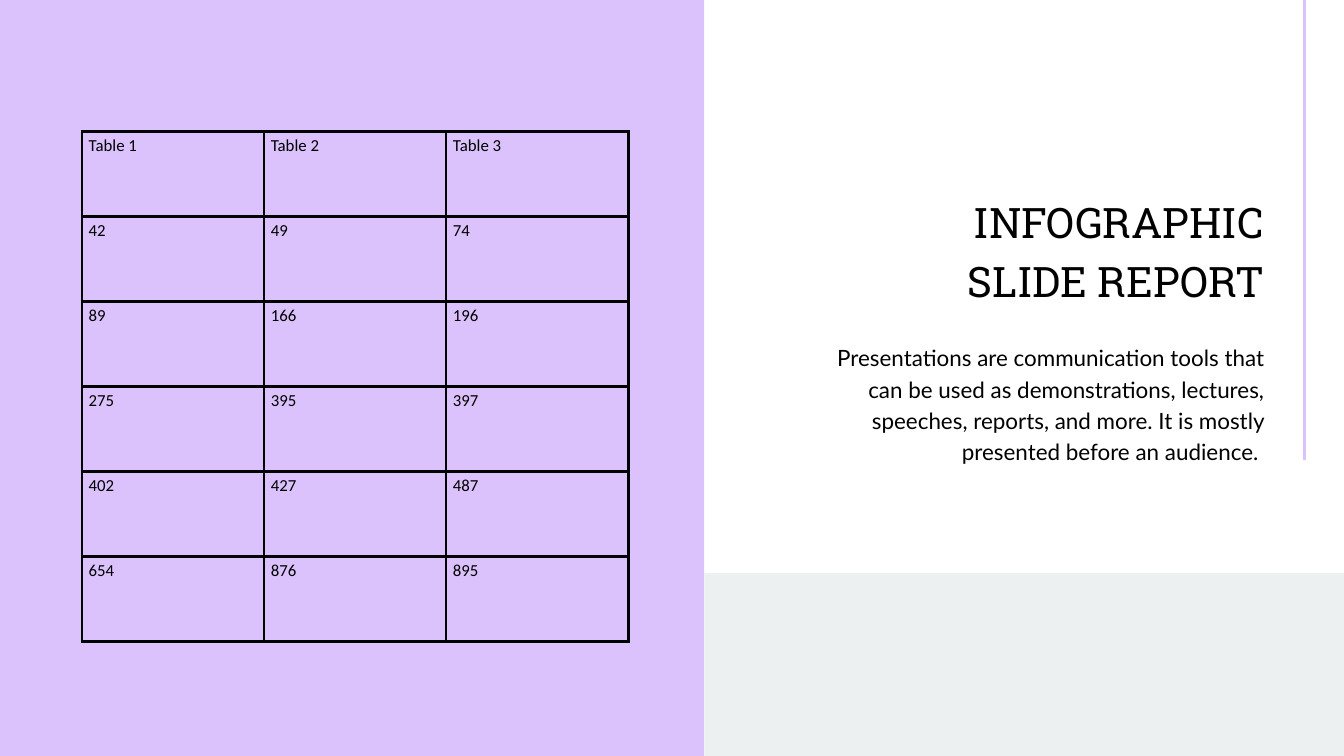
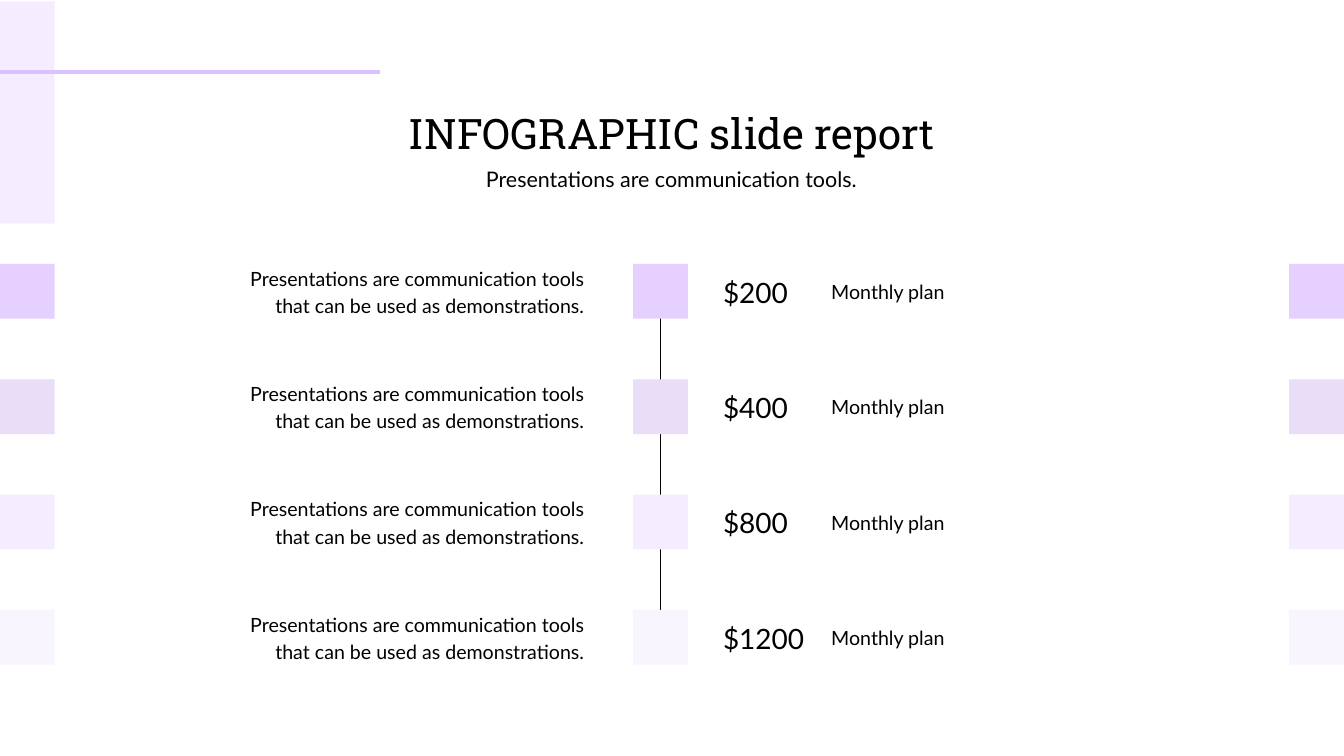
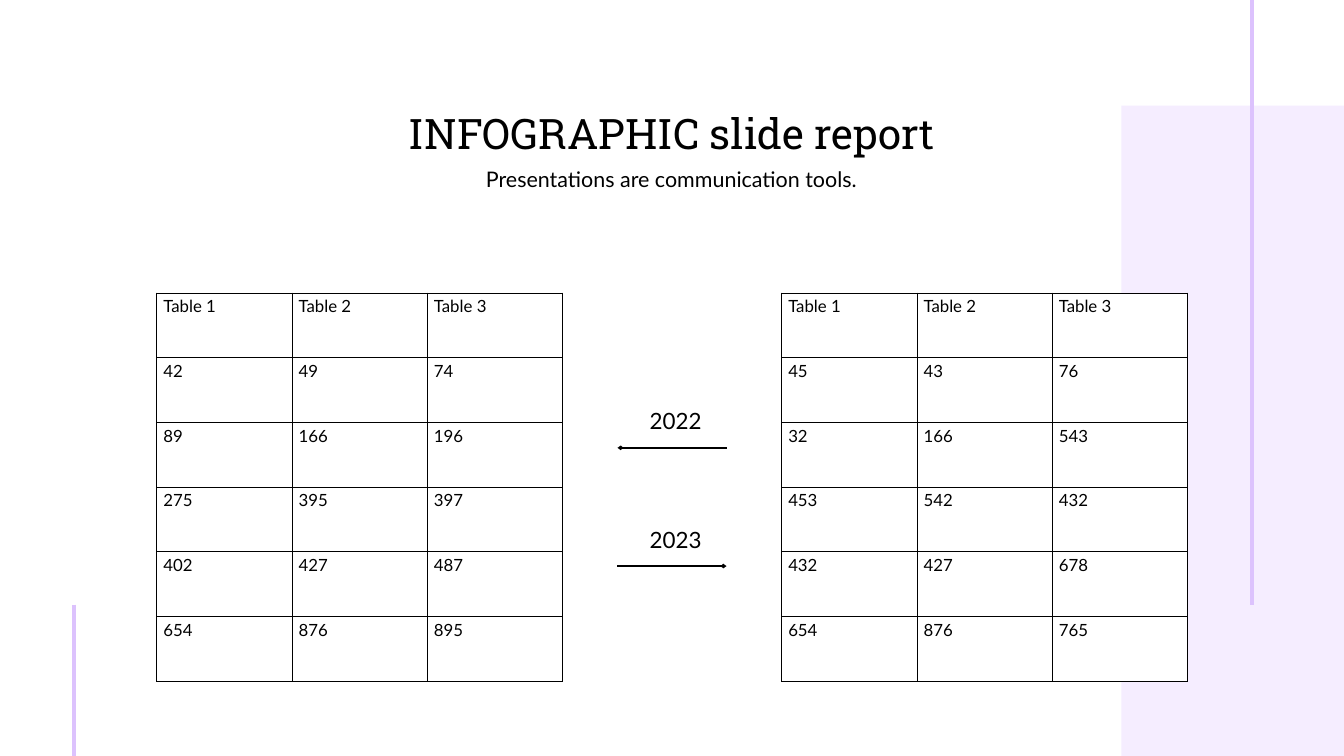
from dataclasses import dataclass

from lxml.etree import SubElement
from pptx import Presentation
from pptx.dml.color import RGBColor
from pptx.enum.shapes import MSO_CONNECTOR, MSO_SHAPE
from pptx.enum.text import PP_ALIGN as Align
from pptx.oxml import parse_xml
from pptx.oxml.ns import nsdecls, qn
from pptx.util import Cm, Pt


@dataclass(frozen=True)
class Theme:
    ink: str = "000000"
    paper: str = "FFFFFF"
    violet: str = "DCC2FD"
    pale: str = "F5EDFF"
    grey: str = "EDF0F0"
    steps: tuple = ("E5D0FF", "E9DDF8", "F5EDFF", "F9F5FF")
    title_font: str = "Roboto Slab"
    body_font: str = "Lato"
    figure_font: str = "Calibri"
    title: float = 45
    price: float = 30
    body: float = 24
    subtitle: float = 23
    label: float = 21
    cell: float = 18
    leading: float = 1.4
    accent: float = 3.75
    arrow: float = 2
    hairline: float = 0.75


class Deck:
    WIDTH, HEIGHT = 50.8, 28.58

    def __init__(self, theme):
        self.theme = theme
        self.prs = Presentation()
        self.prs.slide_width = Cm(self.WIDTH)
        self.prs.slide_height = Cm(self.HEIGHT)
        self.slide = None

    def new_slide(self):
        self.slide = self.prs.slides.add_slide(self.prs.slide_layouts[6])

    def style(self, paragraph, size, font):
        paragraph.font.size = Pt(size)
        paragraph.font.name = font
        paragraph.font.color.rgb = RGBColor.from_string(self.theme.ink)

    def text(self, wording, left, top, width, height, size, align=Align.LEFT, font=None):
        frame = self.slide.shapes.add_textbox(Cm(left), Cm(top), Cm(width), Cm(height)).text_frame
        frame.word_wrap = True
        frame.margin_left = frame.margin_right = frame.margin_top = frame.margin_bottom = 0
        frame.text = wording
        for paragraph in frame.paragraphs:
            paragraph.alignment = align
            paragraph.line_spacing = Pt(size * self.theme.leading)
            self.style(paragraph, size, font or self.theme.body_font)

    def block(self, left, top, width, height, color):
        block = self.slide.shapes.add_shape(
            MSO_SHAPE.RECTANGLE, Cm(left), Cm(top), Cm(width), Cm(height))
        block.shadow.inherit = False
        block.fill.solid()
        block.fill.fore_color.rgb = RGBColor.from_string(color)
        block.line.fill.background()

    def line(self, x1, y1, x2, y2, color, weight, arrow=False):
        line = self.slide.shapes.add_connector(
            MSO_CONNECTOR.STRAIGHT, Cm(x1), Cm(y1), Cm(x2), Cm(y2))
        line.line.color.rgb = RGBColor.from_string(color)
        line.line.width = Pt(weight)
        properties = line._element.spPr
        if arrow:
            SubElement(properties.find(qn("a:ln")), qn("a:tailEnd"), type="arrow", w="sm", len="sm")
        SubElement(properties, qn("a:effectLst"))

    def accent(self, x1, y1, x2, y2):
        self.line(x1, y1, x2, y2, self.theme.violet, self.theme.accent)

    def border(self, cell, weight):
        properties = cell._tc.get_or_add_tcPr()
        for index, side in enumerate("LRTB"):
            properties.insert(index, parse_xml(
                f'<a:ln{side} {nsdecls("a")} w="{Pt(weight)}"><a:solidFill>'
                f'<a:srgbClr val="{self.theme.ink}"/></a:solidFill></a:ln{side}>'))

    def table(self, rows, left, top, width, height, weight, font, fill=None):
        table = self.slide.shapes.add_table(
            len(rows), len(rows[0]), Cm(left), Cm(top), Cm(width), Cm(height)).table
        table.first_row = table.horz_banding = False
        for r, row in enumerate(rows):
            for c, value in enumerate(row):
                cell = table.cell(r, c)
                cell.text = str(value)
                self.style(cell.text_frame.paragraphs[0], self.theme.cell, font)
                if fill:
                    cell.fill.solid()
                    cell.fill.fore_color.rgb = RGBColor.from_string(fill)
                else:
                    cell.fill.background()
                self.border(cell, weight)

    def heading(self, margin):
        self.text("INFOGRAPHIC slide report", margin, 3.76, self.WIDTH - 2 * margin, 4.37,
                  self.theme.title, Align.CENTER, self.theme.title_font)
        self.text("Presentations are communication tools.", 17.42, 6.1, 15.93, 1.12,
                  self.theme.subtitle, Align.CENTER)


HEADER = ("Table 1", "Table 2", "Table 3")
FIGURES_2022 = (HEADER, (42, 49, 74), (89, 166, 196), (275, 395, 397),
                (402, 427, 487), (654, 876, 895))
FIGURES_2023 = (HEADER, (45, 43, 76), (32, 166, 543), (453, 542, 432),
                (432, 427, 678), (654, 876, 765))
PRICES = ("$200", "$400", "$800", "$1200")


def report_slide(deck):
    theme = deck.theme
    split, floor = 26.62, 21.67
    deck.new_slide()
    deck.text("INFOGRAPHIC\nSLIDE REPORT", 31.47, 7.11, 16.31, 4.37,
              theme.title, Align.RIGHT, theme.title_font)
    deck.text("Presentations are communication tools that can be used as demonstrations, "
              "lectures, speeches, reports, and more. It is mostly presented before an audience. ",
              31.47, 12.85, 16.31, 4.62, theme.body, Align.RIGHT)
    deck.block(0, 0, split, deck.HEIGHT, theme.violet)
    deck.block(split, floor, deck.WIDTH - split, deck.HEIGHT - floor, theme.grey)
    deck.table(FIGURES_2022, 3.1, 4.98, 20.65, 19.28, 3, theme.figure_font)
    deck.accent(49.3, 0, 49.3, 17.4)


def plans_slide(deck):
    theme = deck.theme
    square, pitch, first_top, middle = 2.07, 4.36, 9.98, 23.93
    tops = [first_top + pitch * i for i in range(len(PRICES))]
    deck.new_slide()
    deck.block(0, 0.05, square, 8.41, theme.pale)
    deck.accent(0, 2.72, 14.35, 2.72)
    deck.heading(2.84)
    for top in tops[:-1]:
        deck.line(24.97, top + 1.9, 24.97, top + 4.8, theme.ink, theme.hairline)
    for top, price, color in zip(tops, PRICES, theme.steps):
        for left in (middle, 0, deck.WIDTH - square):
            deck.block(left, top, square, square, color)
        deck.text("Presentations are communication tools that can be used as demonstrations.",
                  8.92, top - 0.05, 13.16, 2.06, theme.label, Align.RIGHT)
        deck.text(price, 27.33, top + 0.21, 4.09, 1.45, theme.price)
        deck.text("Monthly plan", 31.42, top + 0.46, 13.16, 1.02, theme.label, Align.JUSTIFY)


def comparison_slide(deck):
    theme = deck.theme
    deck.new_slide()
    deck.block(42.39, 3.99, 8.41, 24.59, theme.pale)
    deck.accent(47.32, 0, 47.32, 22.86)
    deck.accent(2.79, 22.86, 2.79, deck.HEIGHT)
    deck.heading(8.41)
    for figures, left in ((FIGURES_2022, 5.92), (FIGURES_2023, 29.54)):
        deck.table(figures, left, 11.07, 15.34, 14.67, theme.hairline, theme.body_font, theme.paper)
    near, far = 23.34, 27.46
    for year, top, start, end in (("2022", 15.24, far, near), ("2023", 19.71, near, far)):
        deck.text(year, 24.28, top, 2.51, 1.09, theme.body, Align.CENTER)
        deck.line(start, top + 1.69, end, top + 1.69, theme.ink, theme.arrow, arrow=True)


def main():
    deck = Deck(Theme())
    report_slide(deck)
    plans_slide(deck)
    comparison_slide(deck)
    deck.prs.save("out.pptx")


if __name__ == "__main__":
    main()
